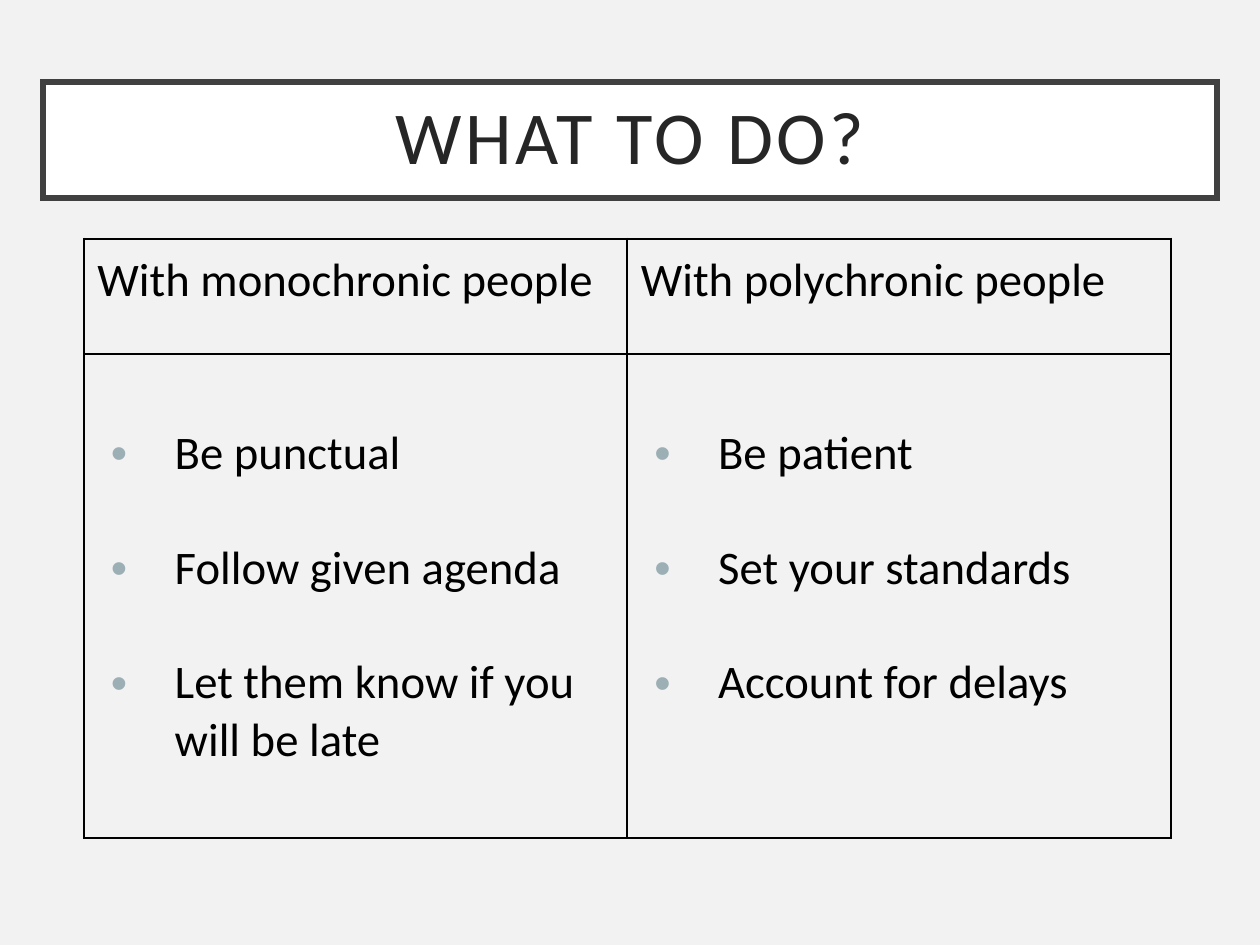
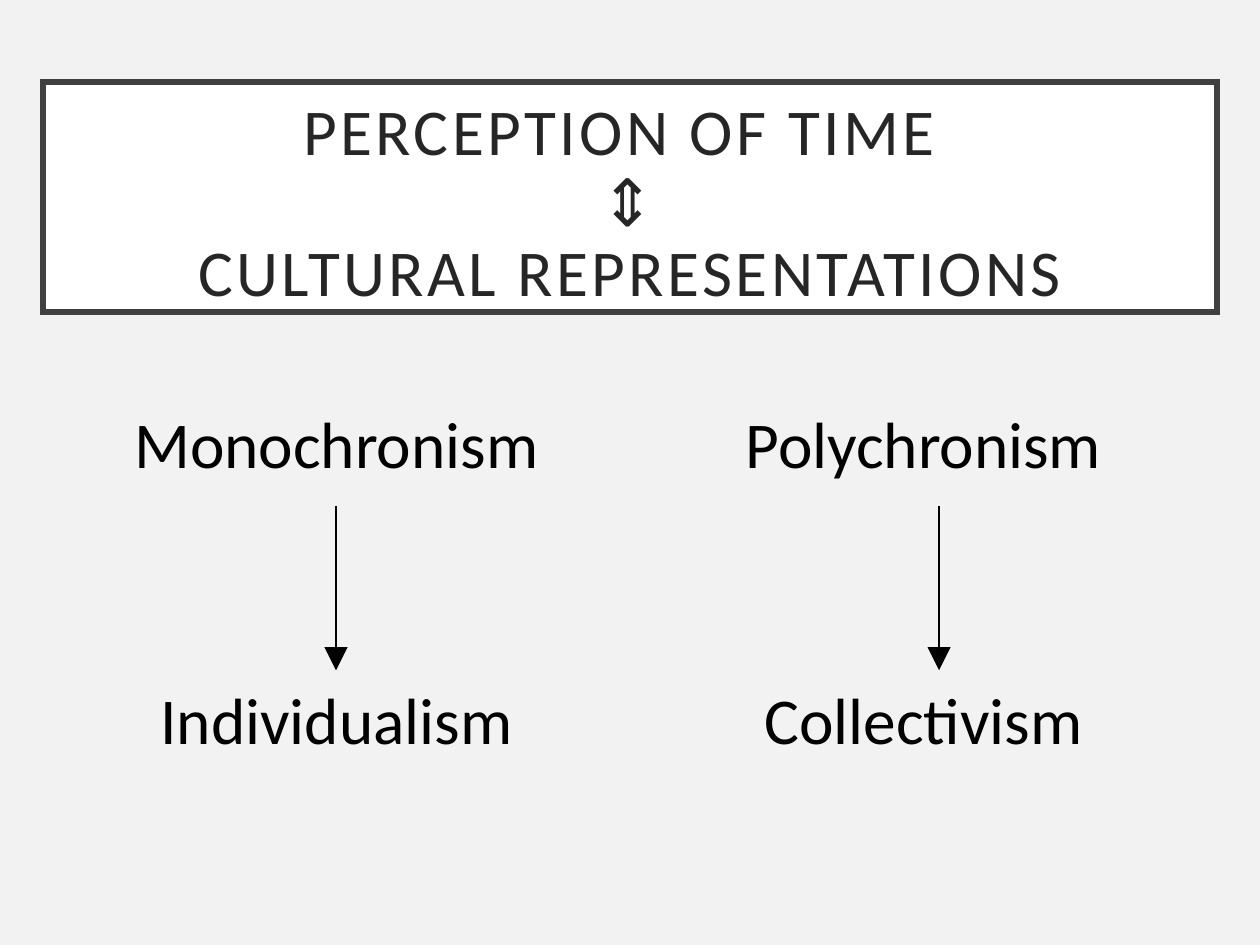
from dataclasses import dataclass

from lxml.etree import SubElement
from pptx import Presentation
from pptx.dml.color import RGBColor
from pptx.enum.shapes import MSO_CONNECTOR, MSO_SHAPE
from pptx.enum.text import MSO_ANCHOR, PP_ALIGN
from pptx.oxml.ns import qn
from pptx.util import Inches, Pt


@dataclass(frozen=True)
class Theme:
    font: str = "Calibri"
    background: str = "F2F2F2"
    title_fill: str = "FFFFFF"
    title_line: str = "404040"
    title_text: str = "262626"
    ink: str = "000000"
    bullet: str = "9BAFB5"
    body_size: float = 20
    large_size: float = 28
    title_size: float = 32
    title_spacing: float = 1.5
    blank_line: float = 24.6


@dataclass(frozen=True)
class Advice:
    heading: str
    tips: tuple[str, ...]


@dataclass(frozen=True)
class Link:
    cause: str
    result: str
    arrow_x: float


THEME = Theme()
PAGE_WIDTH = 7.5
PAGE_HEIGHT = PAGE_WIDTH * 3 / 4
CONTENT_WIDTH = 6.99
MARGIN = (PAGE_WIDTH - CONTENT_WIDTH) / 2
CELL_INSET = 0.08
NO_STYLE = "{2D5ABB26-0587-4C30-8999-92F81FD0307C}"

ADVICE = (
    Advice("With monochronic people",
           ("Be punctual", "Follow given agenda", "Let them know if you will be late")),
    Advice("With polychronic people",
           ("Be patient", "Set your standards", "Account for delays")),
)
LINKS = (
    Link("Monochronism", "Individualism", 2.0),
    Link("Polychronism", "Collectivism", 5.59),
)


def color(value: str) -> RGBColor:
    return RGBColor.from_string(value)


def write(para, text: str, *, size: float, ink: str = THEME.ink,
          align=PP_ALIGN.LEFT, spacing: float = 0) -> None:
    """Fill a paragraph; a newline in the text becomes a line break."""
    para.text = text
    para.alignment = align
    for span in para.runs:
        span.font.name = THEME.font
        span.font.size = Pt(size)
        span.font.color.rgb = color(ink)
        if spacing:
            span.font._element.set("spc", str(int(spacing * 100)))


def add_bullet(para) -> None:
    props = para._p.get_or_add_pPr()
    props.set("marL", str(Inches(0.46)))
    props.set("indent", str(Inches(-0.38)))
    SubElement(SubElement(props, qn("a:buClr")), qn("a:srgbClr"), val=THEME.bullet)
    SubElement(props, qn("a:buFont"), typeface="Arial")
    SubElement(props, qn("a:buChar"), char="•")


def add_title(page, text: str, *, height: float, size: float,
              anchor=MSO_ANCHOR.MIDDLE) -> None:
    box = page.shapes.add_shape(MSO_SHAPE.RECTANGLE, Inches(MARGIN), Inches(0.49),
                                Inches(CONTENT_WIDTH), Inches(height))
    box.shadow.inherit = False
    box.fill.solid()
    box.fill.fore_color.rgb = color(THEME.title_fill)
    box.line.color.rgb = color(THEME.title_line)
    box.line.width = Pt(2.5)
    SubElement(box._element.spPr.find(qn("a:ln")), qn("a:miter"), lim="800000")
    frame = box.text_frame
    frame.word_wrap = False
    frame.vertical_anchor = anchor
    frame.margin_left = frame.margin_right = Inches(0.1)
    frame.margin_top = frame.margin_bottom = Inches(0.1)
    para = frame.paragraphs[0]
    para.line_spacing = 0.9
    write(para, text, size=size, ink=THEME.title_text, align=PP_ALIGN.CENTER,
          spacing=THEME.title_spacing)


def set_borders(cell, width: float) -> None:
    props = cell._tc.get_or_add_tcPr()
    for side in ("a:lnL", "a:lnR", "a:lnT", "a:lnB"):
        line = SubElement(props, qn(side), w=str(Pt(width)))
        if width:
            SubElement(SubElement(line, qn("a:solidFill")), qn("a:srgbClr"), val=THEME.ink)
        else:
            SubElement(line, qn("a:noFill"))


def add_grid(page, left: float, top: float, width: float, rows: tuple[float, ...],
             *, border: float = 0):
    """Add a plain two-column table with equal columns."""
    table = page.shapes.add_table(len(rows), 2, Inches(left), Inches(top),
                                  Inches(width), Inches(sum(rows))).table
    table.first_row = table.horz_banding = False
    table._tbl.tblPr.find(qn("a:tableStyleId")).text = NO_STYLE
    for row, height in zip(table.rows, rows):
        row.height = Inches(height)
    for cell in table.iter_cells():
        set_borders(cell, border)
        cell.fill.background()
        cell.margin_left = cell.margin_right = Inches(CELL_INSET)
        cell.margin_top = cell.margin_bottom = Inches(CELL_INSET)
    return table


def add_arrow(page, x: float, top: float, bottom: float) -> None:
    arrow = page.shapes.add_connector(MSO_CONNECTOR.STRAIGHT, Inches(x), Inches(top),
                                      Inches(x), Inches(bottom))
    arrow.line.color.rgb = color(THEME.ink)
    arrow.line.width = Pt(0.75)
    props = arrow._element.spPr
    SubElement(props.find(qn("a:ln")), qn("a:tailEnd"), type="triangle", w="lg", len="lg")
    SubElement(props, qn("a:effectLst"))


def build_advice(page) -> None:
    table = add_grid(page, 0.5, 1.42, 6.47, (0.69, 2.88), border=1)
    for column, advice in enumerate(ADVICE):
        write(table.cell(0, column).text_frame.paragraphs[0], advice.heading,
              size=THEME.body_size)
        body = table.cell(1, column)
        body.margin_top = Inches(CELL_INSET) + Pt(THEME.blank_line)
        frame = body.text_frame
        for index, tip in enumerate(advice.tips):
            para = frame.add_paragraph() if index else frame.paragraphs[0]
            write(para, tip, size=THEME.body_size)
            if index:
                para.space_before = Pt(THEME.blank_line)
            add_bullet(para)
    add_title(page, "WHAT TO DO?", height=0.69, size=THEME.title_size)


def build_links(page) -> None:
    add_title(page, "PERCEPTION OF TIME \n⇕\nCULTURAL REPRESENTATIONS",
              height=1.37, size=THEME.large_size, anchor=MSO_ANCHOR.TOP)
    table = add_grid(page, MARGIN, 2.34, CONTENT_WIDTH, (1.14, 1.14))
    for column, link in enumerate(LINKS):
        for row, text in enumerate((link.cause, link.result)):
            write(table.cell(row, column).text_frame.paragraphs[0], text,
                  size=THEME.large_size, align=PP_ALIGN.CENTER)
        table.cell(1, column).vertical_anchor = MSO_ANCHOR.BOTTOM
        add_arrow(page, link.arrow_x, 3.01, 3.99)


def main() -> None:
    deck = Presentation()
    deck.slide_width, deck.slide_height = Inches(PAGE_WIDTH), Inches(PAGE_HEIGHT)
    # Shared background
    backdrop = deck.slide_master.background.fill
    backdrop.solid()
    backdrop.fore_color.rgb = color(THEME.background)
    # Pages
    for build in (build_advice, build_links):
        build(deck.slides.add_slide(deck.slide_layouts[6]))
    deck.save("out.pptx")


if __name__ == "__main__":
    main()
